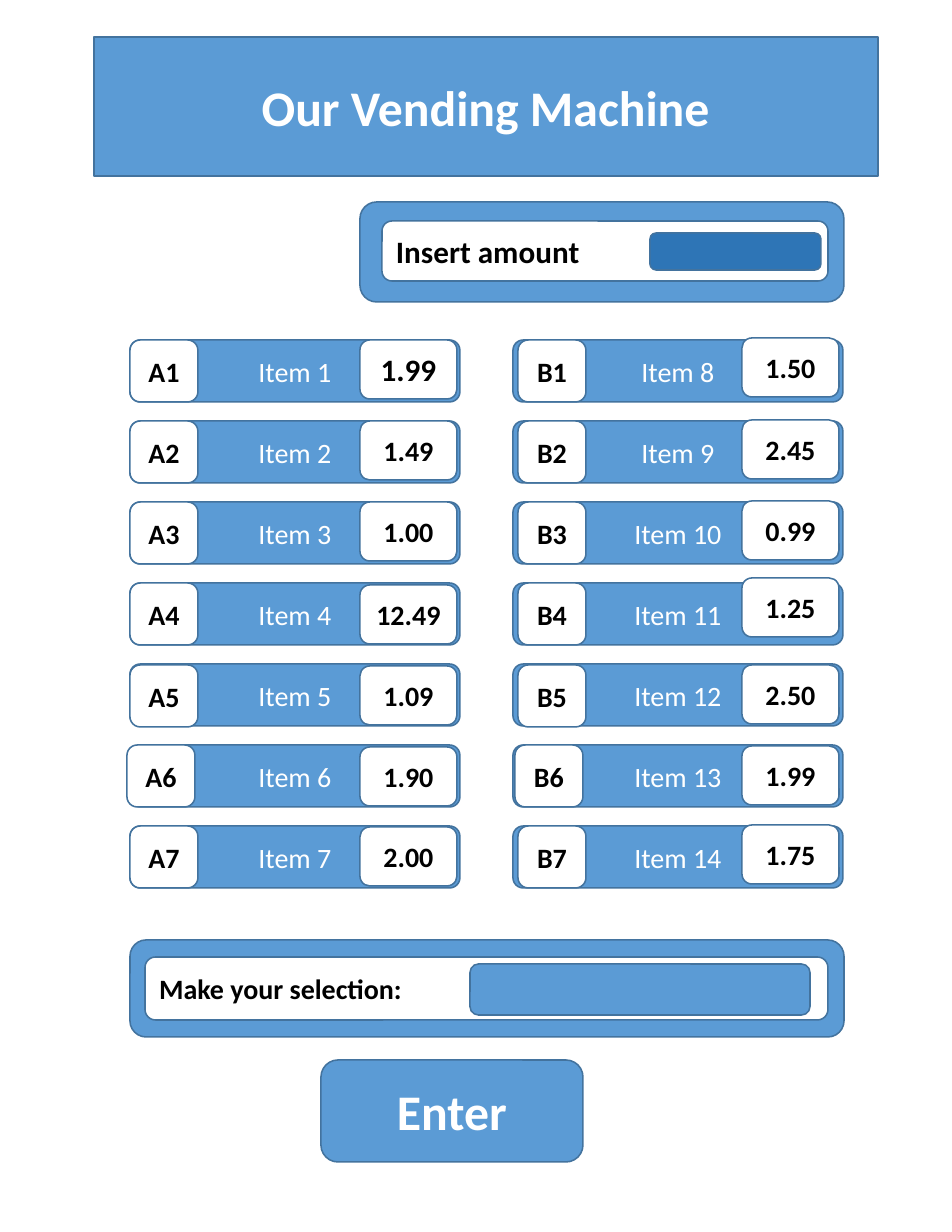
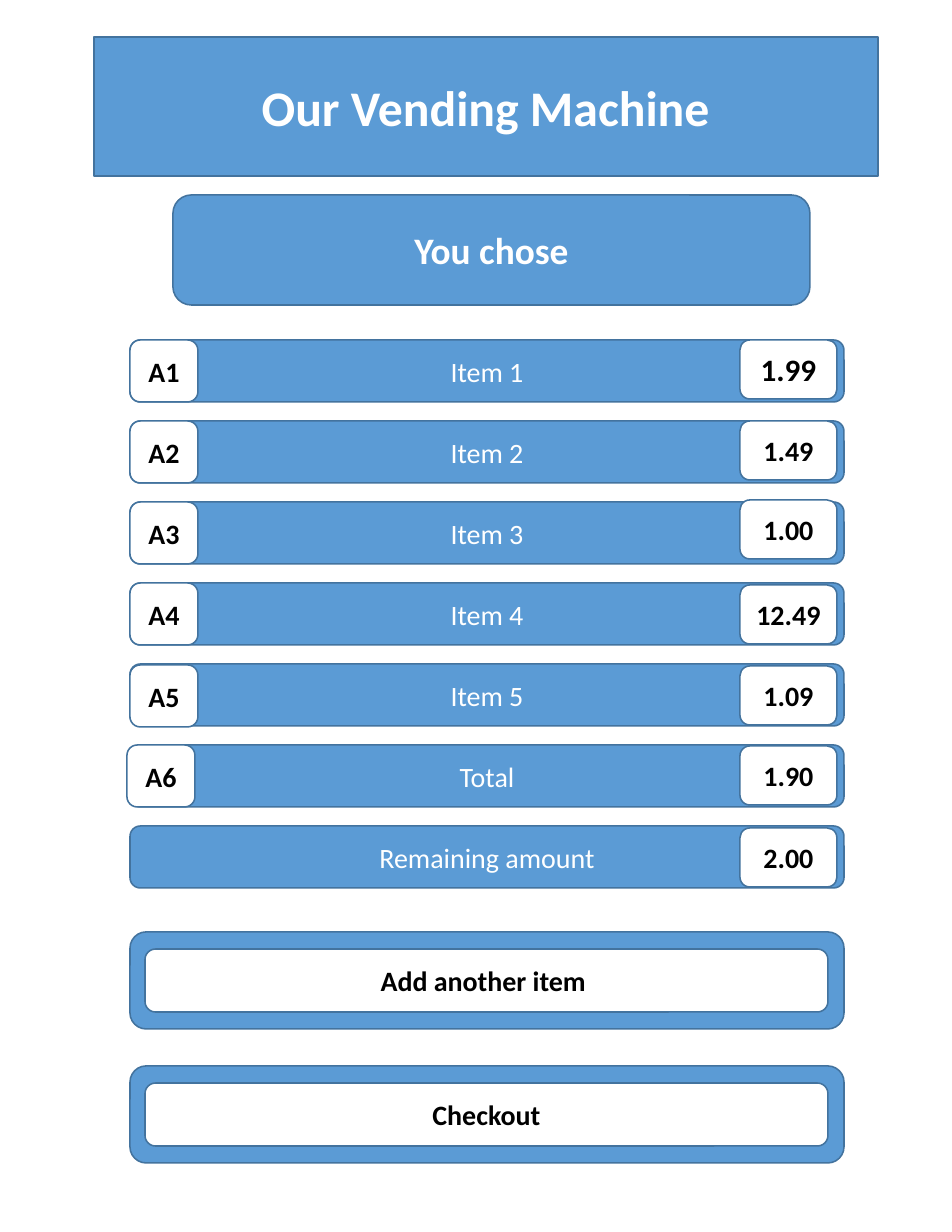
from lxml.etree import SubElement
from pptx import Presentation
from pptx.dml.color import RGBColor
from pptx.enum.shapes import MSO_SHAPE
from pptx.enum.text import MSO_ANCHOR, MSO_AUTO_SIZE, PP_ALIGN
from pptx.oxml.ns import qn
from pptx.util import Emu, Pt

TITLE = "Our Vending Machine"

# key, item, price, vertical nudge of the price tag
COLUMN_A = [
    ("A1", "Item 1", "1.99", 0),
    ("A2", "Item 2", "1.49", 0),
    ("A3", "Item 3", "1.00", 0),
    ("A4", "Item 4", "12.49", 2),
    ("A5", "Item 5", "1.09", 2),
    ("A6", "Item 6", "1.90", 2),
    ("A7", "Item 7", "2.00", 1),
]
COLUMN_B = [
    ("B1", "Item 8", "1.50", -2),
    ("B2", "Item 9", "2.45", -1),
    ("B3", "Item 10", "0.99", -1),
    ("B4", "Item 11", "1.25", -5),
    ("B5", "Item 12", "2.50", 1),
    ("B6", "Item 13", "1.99", 1),
    ("B7", "Item 14", "1.75", -1),
]
CHOSEN = [
    ("A1", "Item 1", "1.99", 0),
    ("A2", "Item 2", "1.49", 0),
    ("A3", "Item 3", "1.00", -2),
    ("A4", "Item 4", "12.49", 2),
    ("A5", "Item 5", "1.09", 2),
    ("A6", "Total", "1.90", 1),
    ("", "Remaining amount", "2.00", 2),
]
LARGE_PRICE = ("A1", 20)
KEY_NUDGES = {4: (0, 1), 5: (-3, 0)}  # row index: across, down

PX_PER_INCH = 112
PAGE_SIZE = (952, 1232)
FONT = "Calibri"
BLUE, DARK_BLUE, OUTLINE = "5B9BD5", "2E75B6", "43739E"
WHITE, BLACK = "FFFFFF", "000000"

LEFT, FULL_WIDTH = 130, 714
ROW_TOP, ROW_PITCH, ROW_HEIGHT = 340, 81, 62
KEY_WIDTH = 68
PRICE_WIDTH, PRICE_HEIGHT = 97, 59


def px(length):
    return Emu(round(length * 914400 / PX_PER_INCH))


def color(hex_string):
    return RGBColor.from_string(hex_string)


def write(shape, text, size=18, bold=True, ink=BLACK, align=PP_ALIGN.CENTER):
    frame = shape.text_frame
    frame.word_wrap = True
    frame.auto_size = MSO_AUTO_SIZE.NONE
    frame.vertical_anchor = MSO_ANCHOR.MIDDLE
    para = frame.paragraphs[0]
    para.alignment = align
    span = para.add_run()
    span.text = text
    span.font.name = FONT
    span.font.size = Pt(size)
    span.font.bold = bold
    span.font.color.rgb = color(ink)


def paint(shape, fill):
    shape.fill.solid()
    shape.fill.fore_color.rgb = color(fill)
    shape.line.color.rgb = color(OUTLINE)
    shape.line.width = Pt(1)


def add_box(page, place, fill=BLUE, text="", **text_format):
    box = page.shapes.add_shape(MSO_SHAPE.ROUNDED_RECTANGLE, *map(px, place))
    box.shadow.inherit = False
    paint(box, fill)
    if text:
        write(box, text, **text_format)
    return box


def add_panel(page, top, text, **text_format):
    """Full-width blue frame around a white label."""
    add_box(page, (LEFT, top, FULL_WIDTH, 97))
    add_box(page, (LEFT + 15, top + 17, 683, 63), WHITE, text, **text_format)


def add_rows(page, rows, left, width, key_left, price_left):
    for index, (key, item, price, nudge) in enumerate(rows):
        top = ROW_TOP + index * ROW_PITCH
        add_box(page, (left, top, width, ROW_HEIGHT), BLUE, item, bold=False, ink=WHITE)
        if key:
            across, down = KEY_NUDGES.get(index, (0, 0))
            add_box(page, (key_left + across, top + down, KEY_WIDTH, ROW_HEIGHT), WHITE, key)
        size = LARGE_PRICE[1] if key == LARGE_PRICE[0] else 18
        add_box(page, (price_left, top + nudge, PRICE_WIDTH, PRICE_HEIGHT), WHITE, price, size=size)


def add_page(deck):
    """Title-only page whose title is a rounded blue banner."""
    page = deck.slides.add_slide(deck.slide_layouts[5])
    title = page.shapes.title
    title.left, title.top, title.width, title.height = map(px, (94, 37, 784, 139))
    geometry = SubElement(title.element.spPr, qn("a:prstGeom"), prst="roundRect")
    SubElement(geometry, qn("a:avLst"))
    paint(title, BLUE)
    write(title, TITLE, size=32, ink=WHITE)
    return page


def build_machine(page):
    add_rows(page, COLUMN_A, LEFT, 330, LEFT, 360)
    add_rows(page, COLUMN_B, 513, 330, 518, 742)
    add_box(page, (360, 202, 484, 100))
    add_box(page, (382, 221, 446, 60), WHITE, "Insert amount", size=20, align=PP_ALIGN.LEFT)
    add_box(page, (650, 233, 171, 37), DARK_BLUE)
    add_panel(page, 940, "Make your selection:", align=PP_ALIGN.LEFT)
    add_box(page, (470, 964, 340, 51))
    add_box(page, (321, 1060, 262, 102), BLUE, "Enter", size=32, ink=WHITE)


def build_choice(page):
    add_rows(page, CHOSEN, LEFT, FULL_WIDTH, LEFT, 740)
    add_box(page, (173, 195, 637, 110), BLUE, "You chose", size=24, ink=WHITE)
    add_panel(page, 932, "Add another item ")
    add_panel(page, 1066, "Checkout")


def main():
    deck = Presentation()
    deck.slide_width, deck.slide_height = map(px, PAGE_SIZE)
    for build in (build_machine, build_choice):
        build(add_page(deck))
    deck.save("out.pptx")


if __name__ == "__main__":
    main()
